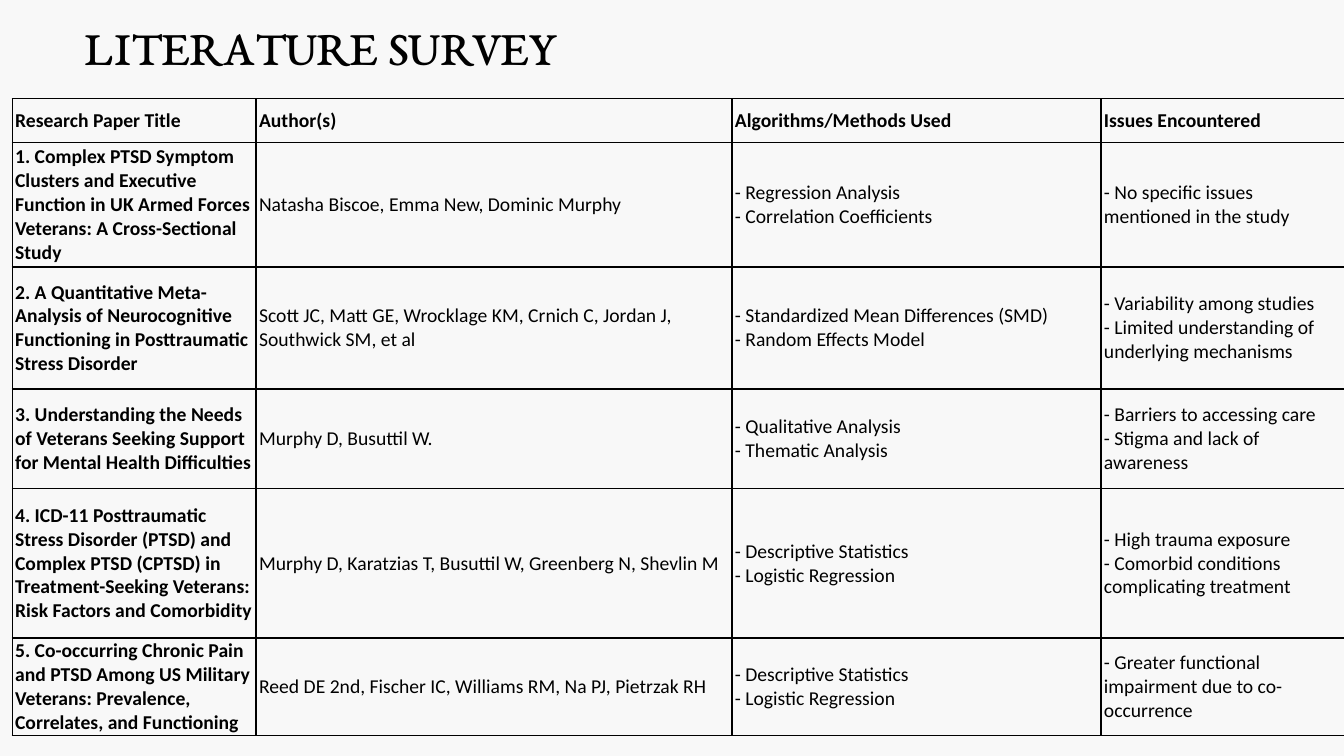
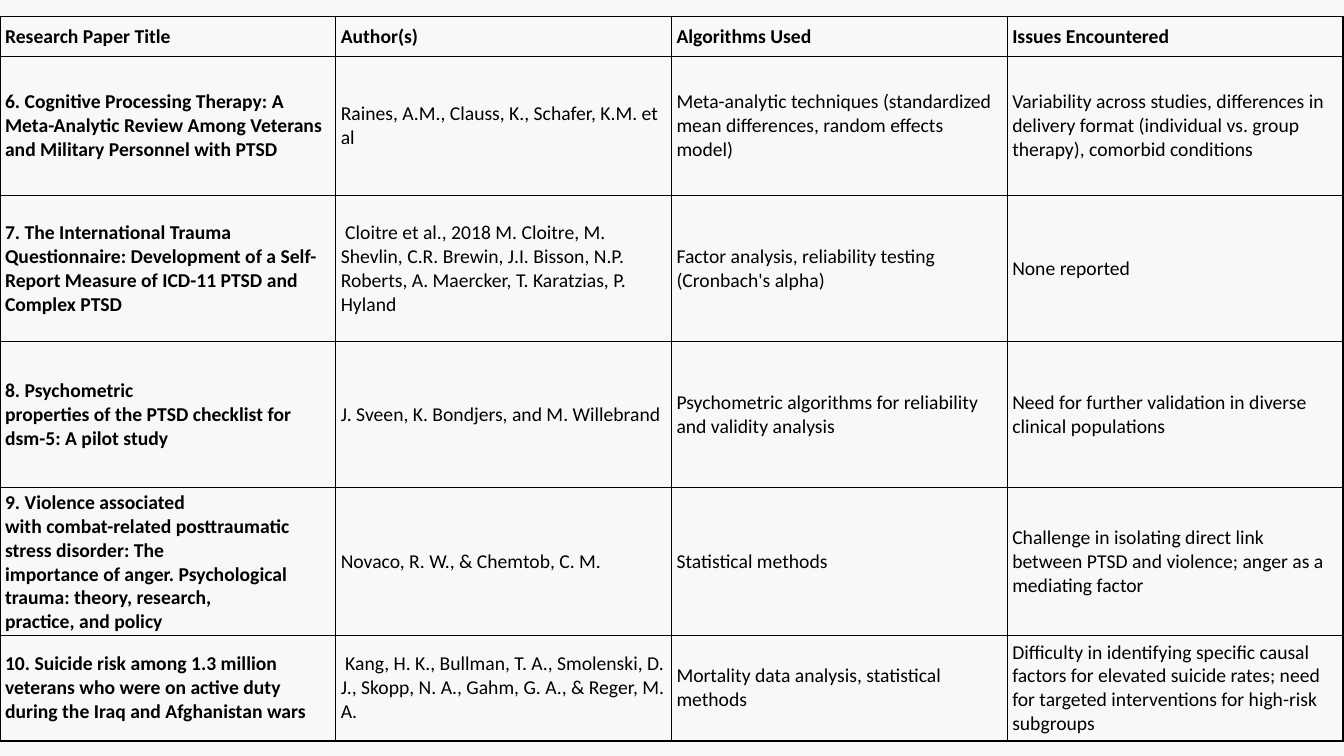
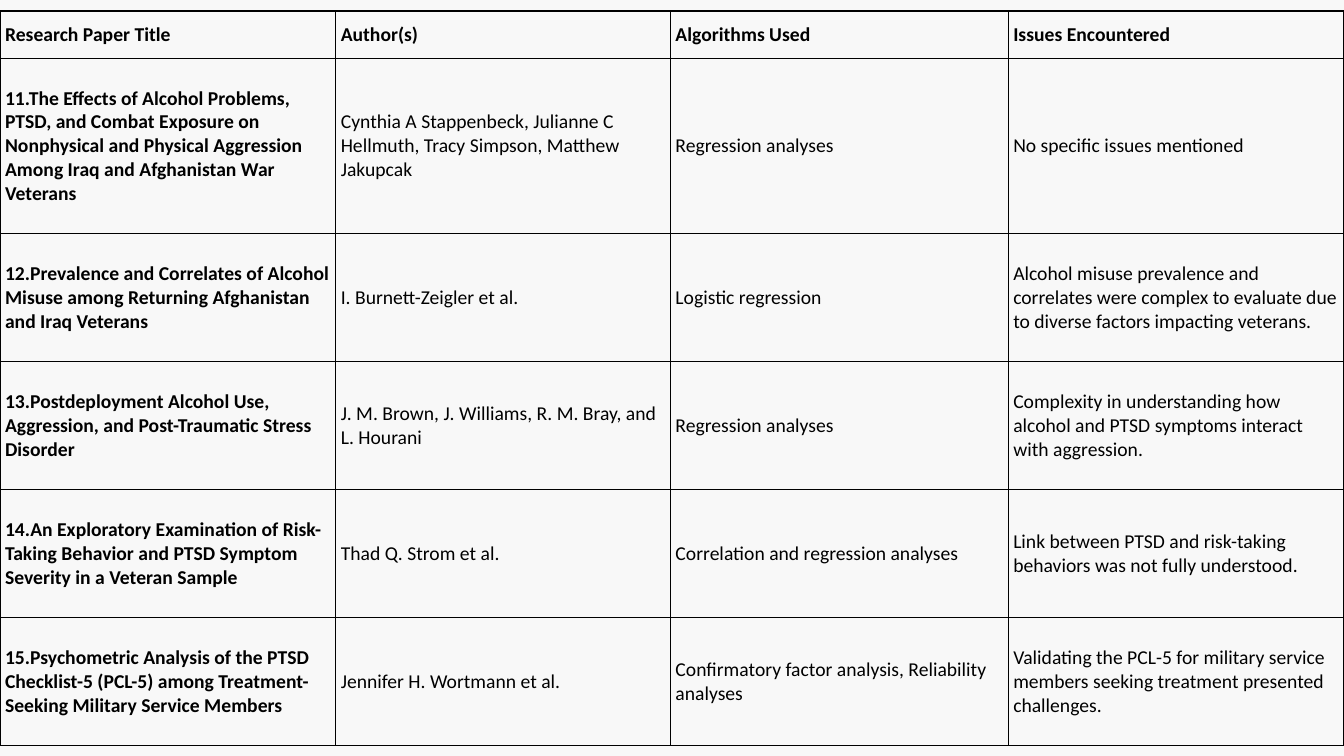
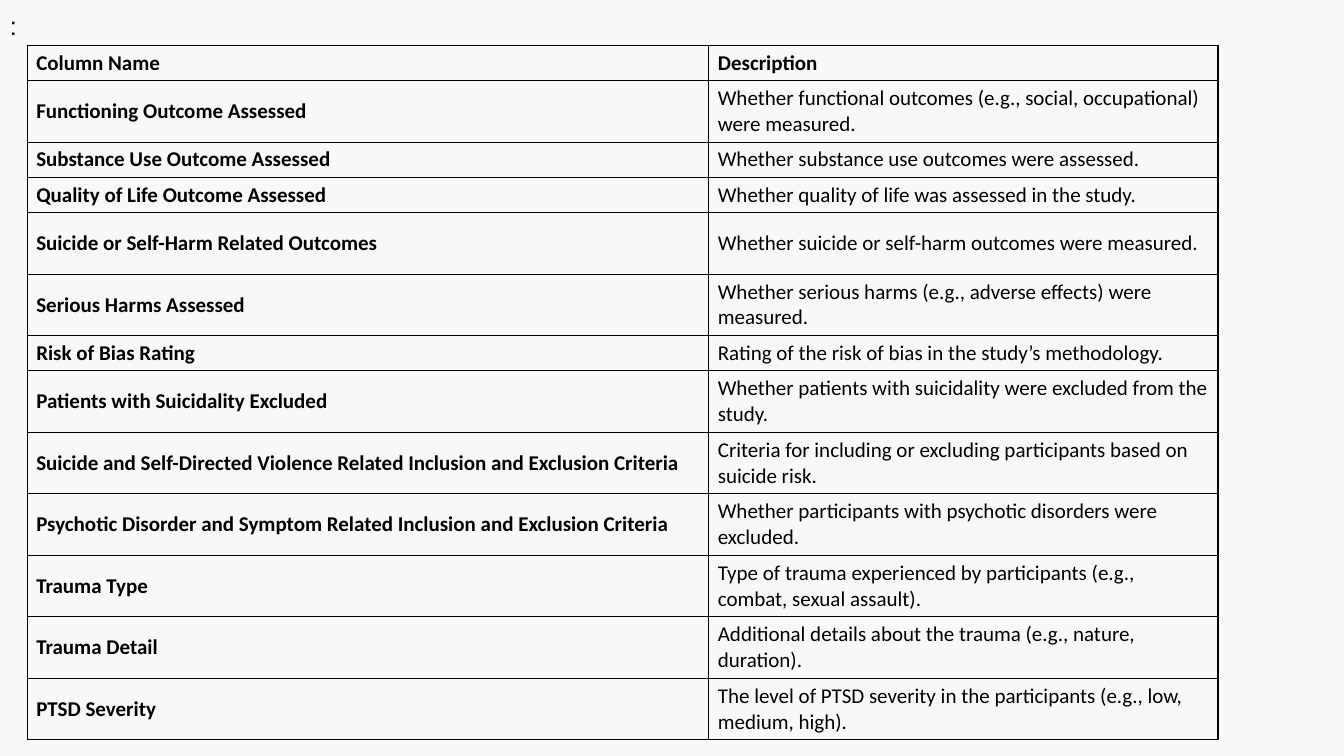
from dataclasses import dataclass

from lxml import etree
from pptx import Presentation
from pptx import util as u
from pptx.dml.color import RGBColor
from pptx.enum import text
from pptx.oxml import ns


@dataclass(frozen=True)
class Theme:
    background: RGBColor = RGBColor(0xF8, 0xF8, 0xF8)
    ink: RGBColor = RGBColor(0, 0, 0)
    title_font: str = "EB Garamond"
    table_font: str = "Calibri"
    mark_font: str = "Arial"
    title_size: int = 36
    survey_size: int = 14
    columns_size: int = 15
    mark_size: int = 18
    border: int = 1


theme = Theme()

surveys_1_to_5 = [
    ("Research Paper Title", "Author(s)", "Algorithms/Methods Used", "Issues Encountered"),
    ("1. Complex PTSD Symptom Clusters and Executive Function in UK Armed Forces Veterans: "
     "A Cross-Sectional Study",
     "Natasha Biscoe, Emma New, Dominic Murphy",
     "- Regression Analysis\v- Correlation Coefficients",
     "- No specific issues mentioned in the study"),
    ("2. A Quantitative Meta-Analysis of Neurocognitive Functioning in Posttraumatic Stress Disorder",
     "Scott JC, Matt GE, Wrocklage KM, Crnich C, Jordan J, Southwick SM, et al",
     "- Standardized Mean Differences (SMD)\v- Random Effects Model",
     "- Variability among studies\v- Limited understanding of underlying mechanisms"),
    ("3. Understanding the Needs of Veterans Seeking Support for Mental Health Difficulties",
     "Murphy D, Busuttil W.",
     "- Qualitative Analysis\v- Thematic Analysis",
     "- Barriers to accessing care\v- Stigma and lack of awareness"),
    ("4. ICD-11 Posttraumatic Stress Disorder (PTSD) and Complex PTSD (CPTSD) in "
     "Treatment-Seeking Veterans: Risk Factors and Comorbidity",
     "Murphy D, Karatzias T, Busuttil W, Greenberg N, Shevlin M",
     "- Descriptive Statistics\v- Logistic Regression",
     "- High trauma exposure\v- Comorbid conditions complicating treatment"),
    ("5. Co-occurring Chronic Pain and PTSD Among US Military Veterans: Prevalence, "
     "Correlates, and Functioning",
     "Reed DE 2nd, Fischer IC, Williams RM, Na PJ, Pietrzak RH",
     "- Descriptive Statistics\v- Logistic Regression",
     "- Greater functional impairment due to co-occurrence"),
]

later_header = ("Research Paper Title", "Author(s)", "Algorithms Used", "Issues Encountered")

surveys_6_to_10 = [
    later_header,
    ("6. Cognitive Processing Therapy: A Meta-Analytic Review Among Veterans and Military "
     "Personnel with PTSD",
     "Raines, A.M., Clauss, K., Schafer, K.M. et al",
     "Meta-analytic techniques (standardized mean differences, random effects model)",
     "Variability across studies, differences in delivery format (individual vs. group therapy), "
     "comorbid conditions"),
    ("7. The International Trauma Questionnaire: Development of a Self-Report Measure of "
     "ICD-11 PTSD and Complex PTSD",
     " Cloitre et al., 2018 M. Cloitre, M. Shevlin, C.R. Brewin, J.I. Bisson, N.P. Roberts, "
     "A. Maercker, T. Karatzias, P. Hyland",
     "Factor analysis, reliability testing (Cronbach's alpha)",
     "None reported"),
    ("8. Psychometric\nproperties of the PTSD checklist for dsm-5: A pilot study",
     "J. Sveen, K. Bondjers, and M. Willebrand",
     "Psychometric algorithms for reliability and validity analysis",
     "Need for further validation in diverse clinical populations"),
    ("9. Violence associated\nwith combat-related posttraumatic stress disorder: The\n"
     "importance of anger. Psychological trauma: theory, research,\npractice, and policy",
     "Novaco, R. W., & Chemtob, C. M.",
     "Statistical methods",
     "Challenge in isolating direct link between PTSD and violence; anger as a mediating factor"),
    ("10. Suicide risk among 1.3 million veterans who were on active duty during the Iraq "
     "and Afghanistan wars",
     " Kang, H. K., Bullman, T. A., Smolenski, D. J., Skopp, N. A., Gahm, G. A., & Reger, M. A.",
     "Mortality data analysis, statistical methods",
     "Difficulty in identifying specific causal factors for elevated suicide rates; need for "
     "targeted interventions for high-risk subgroups"),
]

surveys_11_to_15 = [
    later_header,
    ("11.The Effects of Alcohol Problems, PTSD, and Combat Exposure on Nonphysical and "
     "Physical Aggression Among Iraq and Afghanistan War Veterans",
     "Cynthia A Stappenbeck, Julianne C Hellmuth, Tracy Simpson, Matthew Jakupcak",
     "Regression analyses",
     "No specific issues mentioned"),
    ("12.Prevalence and Correlates of Alcohol Misuse among Returning Afghanistan and Iraq Veterans",
     "I. Burnett-Zeigler et al.",
     "Logistic regression",
     "Alcohol misuse prevalence and correlates were complex to evaluate due to diverse factors "
     "impacting veterans."),
    ("13.Postdeployment Alcohol Use, Aggression, and Post-Traumatic Stress Disorder",
     "J. M. Brown, J. Williams, R. M. Bray, and L. Hourani",
     "Regression analyses",
     "Complexity in understanding how alcohol and PTSD symptoms interact with aggression."),
    ("14.An Exploratory Examination of Risk-Taking Behavior and PTSD Symptom Severity in a "
     "Veteran Sample",
     "Thad Q. Strom et al.",
     "Correlation and regression analyses",
     "Link between PTSD and risk-taking behaviors was not fully understood."),
    ("15.Psychometric Analysis of the PTSD Checklist-5 (PCL-5) among Treatment-Seeking "
     "Military Service Members",
     "Jennifer H. Wortmann et al.",
     "Confirmatory factor analysis, Reliability analyses",
     "Validating the PCL-5 for military service members seeking treatment presented challenges."),
]

dataset_columns = [
    ("Column Name", "Description"),
    ("Functioning Outcome Assessed",
     "Whether functional outcomes (e.g., social, occupational) were measured."),
    ("Substance Use Outcome Assessed", "Whether substance use outcomes were assessed."),
    ("Quality of Life Outcome Assessed", "Whether quality of life was assessed in the study."),
    ("Suicide or Self-Harm Related Outcomes",
     "Whether suicide or self-harm outcomes were measured."),
    ("Serious Harms Assessed", "Whether serious harms (e.g., adverse effects) were measured."),
    ("Risk of Bias Rating", "Rating of the risk of bias in the study’s methodology."),
    ("Patients with Suicidality Excluded",
     "Whether patients with suicidality were excluded from the study."),
    ("Suicide and Self-Directed Violence Related Inclusion and Exclusion Criteria",
     "Criteria for including or excluding participants based on suicide risk."),
    ("Psychotic Disorder and Symptom Related Inclusion and Exclusion Criteria",
     "Whether participants with psychotic disorders were excluded."),
    ("Trauma Type",
     "Type of trauma experienced by participants (e.g., combat, sexual assault)."),
    ("Trauma Detail", "Additional details about the trauma (e.g., nature, duration)."),
    ("PTSD Severity",
     "The level of PTSD severity in the participants (e.g., low, medium, high)."),
]

one_line, two_lines = 0.35, 0.61
tables = [
    dict(rows=surveys_1_to_5, left=0.12, top=0.98, widths=[2.42, 4.72, 3.66, 2.42],
         heights=[0.43, 1.24, 1.21, 0.99, 1.48, 0.92], insets=(0.03, 0.01),
         size=theme.survey_size),
    dict(rows=surveys_6_to_10, left=0, top=0.16, widths=[3.33] * 4,
         heights=[0.4, 1.38, 1.45, 1.45, 1.38, 1.05], insets=(0.05, 0.03),
         size=theme.survey_size),
    dict(rows=surveys_11_to_15, left=0, top=0.11, widths=[3.33, 3.32, 3.35, 3.33],
         heights=[0.47, 1.74] + [1.27] * 4, insets=(0.05, 0.03),
         size=theme.survey_size),
    dict(rows=dataset_columns, left=0.27, top=0.45, widths=[6.76, 5.05],
         heights=[one_line, two_lines, one_line, one_line, two_lines, two_lines, one_line]
         + [two_lines] * 6,
         insets=(0.09, 0.04), size=theme.columns_size),
]


def style_text(frame, font_name, size, bold=False):
    for paragraph in frame.paragraphs:
        for key, value in dict(name=font_name, size=u.Pt(size), bold=bold).items():
            setattr(paragraph.font, key, value)
            for run in paragraph.runs:
                setattr(run.font, key, value)
        for run in paragraph.runs:
            run.font.color.rgb = theme.ink


def draw_borders(cell):
    properties = cell._tc.get_or_add_tcPr()
    for side in ("lnL", "lnR", "lnT", "lnB"):
        line = etree.SubElement(properties, ns.qn(f"a:{side}"), w=str(u.Pt(theme.border)))
        fill = etree.SubElement(line, ns.qn("a:solidFill"))
        etree.SubElement(fill, ns.qn("a:srgbClr"), val=str(theme.ink))


prs = Presentation()
prs.slide_width, prs.slide_height = u.Inches(13.33), u.Inches(7.5)
master_fill = prs.slide_master.background.fill
master_fill.solid()
master_fill.fore_color.rgb = theme.background

for layout in tables:
    slide = prs.slides.add_slide(prs.slide_layouts[6])
    widths, heights = layout["widths"], layout["heights"]
    table = slide.shapes.add_table(
        len(heights), len(widths), u.Inches(layout["left"]), u.Inches(layout["top"]),
        u.Inches(sum(widths)), u.Inches(sum(heights))).table
    table.first_row = table.horz_banding = False
    for column, width in zip(table.columns, widths):
        column.width = u.Inches(width)
    for row, height in zip(table.rows, heights):
        row.height = u.Inches(height)

    side_inset, end_inset = map(u.Inches, layout["insets"])
    cell_format = dict(margin_left=side_inset, margin_right=side_inset,
                       margin_top=end_inset, margin_bottom=end_inset,
                       vertical_anchor=text.MSO_ANCHOR.MIDDLE)
    for r, entries in enumerate(layout["rows"]):
        for c, entry in enumerate(entries):
            cell = table.cell(r, c)
            cell.text = entry
            for key, value in cell_format.items():
                setattr(cell, key, value)
            style_text(cell.text_frame, theme.table_font, layout["size"], bold=r == 0 or c == 0)
            draw_borders(cell)
            cell.fill.background()

first_slide, last_slide = prs.slides[0], prs.slides[len(tables) - 1]
captions = [
    (first_slide, "LITERATURE SURVEY", (0.74, 0.1, 11.5, 0.77),
     theme.title_font, theme.title_size, True),
    (last_slide, ":", (0, 0.05, 0.27, 0.4), theme.mark_font, theme.mark_size, False),
]
for slide, wording, place, font_name, size, wraps in captions:
    caption = slide.shapes.add_textbox(*map(u.Inches, place)).text_frame
    caption.text = wording
    caption.word_wrap = wraps
    caption.vertical_anchor = text.MSO_ANCHOR.MIDDLE
    style_text(caption, font_name, size)
    if slide is first_slide:
        caption.paragraphs[0].line_spacing = 0.9

prs.save("out.pptx")
